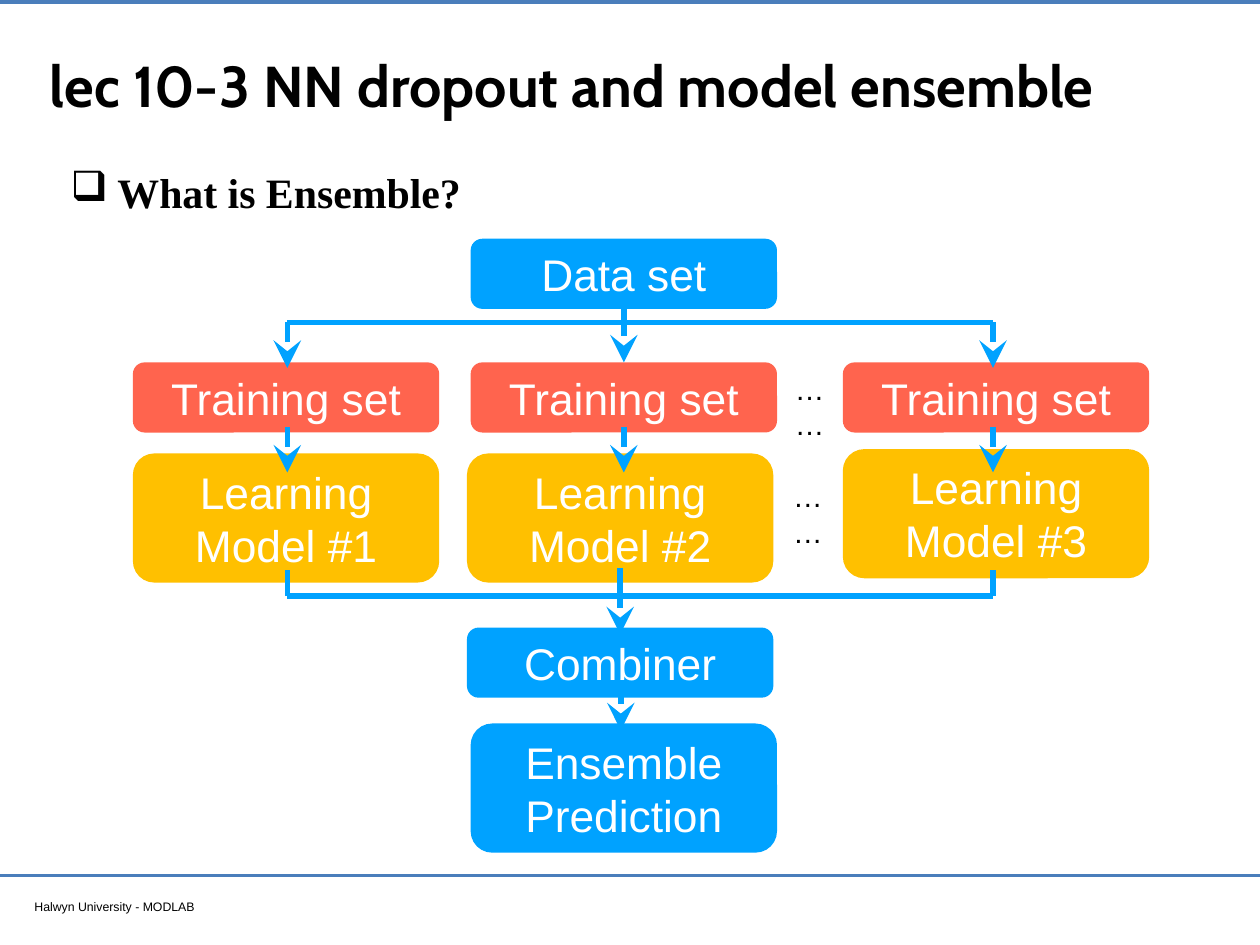
"""Builds a slide on model ensembles with a flow from data set to prediction."""
from lxml.etree import SubElement
from pptx import Presentation
from pptx.dml.color import RGBColor
from pptx.enum.shapes import MSO_CONNECTOR as Link, MSO_SHAPE as Kind
from pptx.enum.text import MSO_ANCHOR as Anchor, MSO_AUTO_SIZE as Fit, PP_ALIGN as Align
from pptx.oxml.ns import qn
from pptx.util import Pt

BLUE, RED, GOLD, RULE = "00A2FF", "FF644E", "FFC000", "4A7EBB"


def write(shape, text, size, font="Arial", color="000000", bold=False,
          align=Align.LEFT, anchor=Anchor.MIDDLE):
    frame = shape.text_frame
    frame.text = text
    frame.word_wrap = True
    frame.auto_size = Fit.NONE
    frame.vertical_anchor = anchor
    frame.margin_left = frame.margin_right = Pt(4)
    frame.margin_top = frame.margin_bottom = Pt(4)
    for para in frame.paragraphs:
        para.alignment = align
        for run in para.runs:
            run.font.name = font
            run.font.size = Pt(size)
            run.font.bold = bold
            run.font.color.rgb = RGBColor.from_string(color)


def draw(x1, y1, x2, y2, color=BLUE, width=4.5, arrow=False):
    line = slide.shapes.add_connector(Link.STRAIGHT, Pt(x1), Pt(y1), Pt(x2), Pt(y2))
    line.line.color.rgb = RGBColor.from_string(color)
    line.line.width = Pt(width)
    if arrow:
        SubElement(line.line._get_or_add_ln(), qn("a:tailEnd"), type="stealth", w="lg", len="lg")
    SubElement(line._element.spPr, qn("a:effectLst"))
    return line


deck = Presentation()
deck.slide_width, deck.slide_height = Pt(1024), Pt(768)
slide = deck.slides.add_slide(deck.slide_layouts[5])
shapes = slide.shapes

draw(0, 1.5, 1024, 1.5, RULE, 3.2)
draw(0, 711.5, 1024, 711.5, RULE, 2)

title = shapes.title
title.left, title.top, title.width, title.height = Pt(36.5), Pt(20), Pt(951), Pt(97)
write(title, "lec 10-3 NN dropout and model ensemble", 46.8, "Cabin", bold=True)

topic = shapes.add_textbox(Pt(53.5), Pt(123), Pt(961), Pt(60))
write(topic, "What is Ensemble?", 34, "Times New Roman", bold=True, anchor=Anchor.TOP)
para = topic.text_frame.paragraphs[0]
para.line_spacing = 1.2
para.space_before = Pt(8)
props = para._p.get_or_add_pPr()
props.set("marL", str(Pt(38)))
props.set("indent", str(-Pt(38)))
SubElement(props, qn("a:buChar"), char="❑")

boxes = [("Data set", 382.5, 194, 57, BLUE)]
boxes += [("Training set", x, 294.5, 57, RED) for x in (108, 382.5, 685)]
boxes += [
    ("Learning\nModel #1", 108, 368.5, 105, GOLD),
    ("Learning\nModel #2", 379.5, 368.5, 105, GOLD),
    ("Learning\nModel #3", 685, 365, 105, GOLD),
    ("Combiner", 379.5, 510, 57, BLUE),
    ("Ensemble\nPrediction", 382.5, 588, 105, BLUE),
]
nodes = []
for text, x, y, high, color in boxes:
    if text == "Combiner":
        draw(504, 461.5, 504, 515.5, arrow=True)
        draw(504.5, 557.5, 504.5, 593.5, arrow=True)
    node = shapes.add_shape(Kind.ROUNDED_RECTANGLE, Pt(x), Pt(y), Pt(249), Pt(high))
    node.shadow.inherit = False
    node.fill.solid()
    node.fill.fore_color.rgb = RGBColor.from_string(color)
    node.line.fill.background()
    write(node, text, 36, color="FFFFFF", align=Align.CENTER)
    nodes.append(node)

stem = draw(507, 251, 507, 294.5, arrow=True)
stem.begin_connect(nodes[0], 2)
stem.end_connect(nodes[2], 0)

left, mid, right = 233.5, 507, 807
for x in (left, right):
    draw(x, 262, x, 299, arrow=True)
    draw(x, 484.5, x, 463)
for x in (left, mid, right):
    draw(x, 347, x, 384, arrow=True)
for y in (262, 484.5):
    draw(left, y, right, y)

for x, y in ((631.5, 315.5), (630, 403)):
    dots = shapes.add_textbox(Pt(x), Pt(y), Pt(53), Pt(29))
    write(dots, "……", 24, align=Align.CENTER)

foot = shapes.add_textbox(Pt(24), Pt(726.5), Pt(393), Pt(19))
write(foot, "Halwyn University - MODLAB", 10, anchor=Anchor.TOP)

deck.save("out.pptx")
